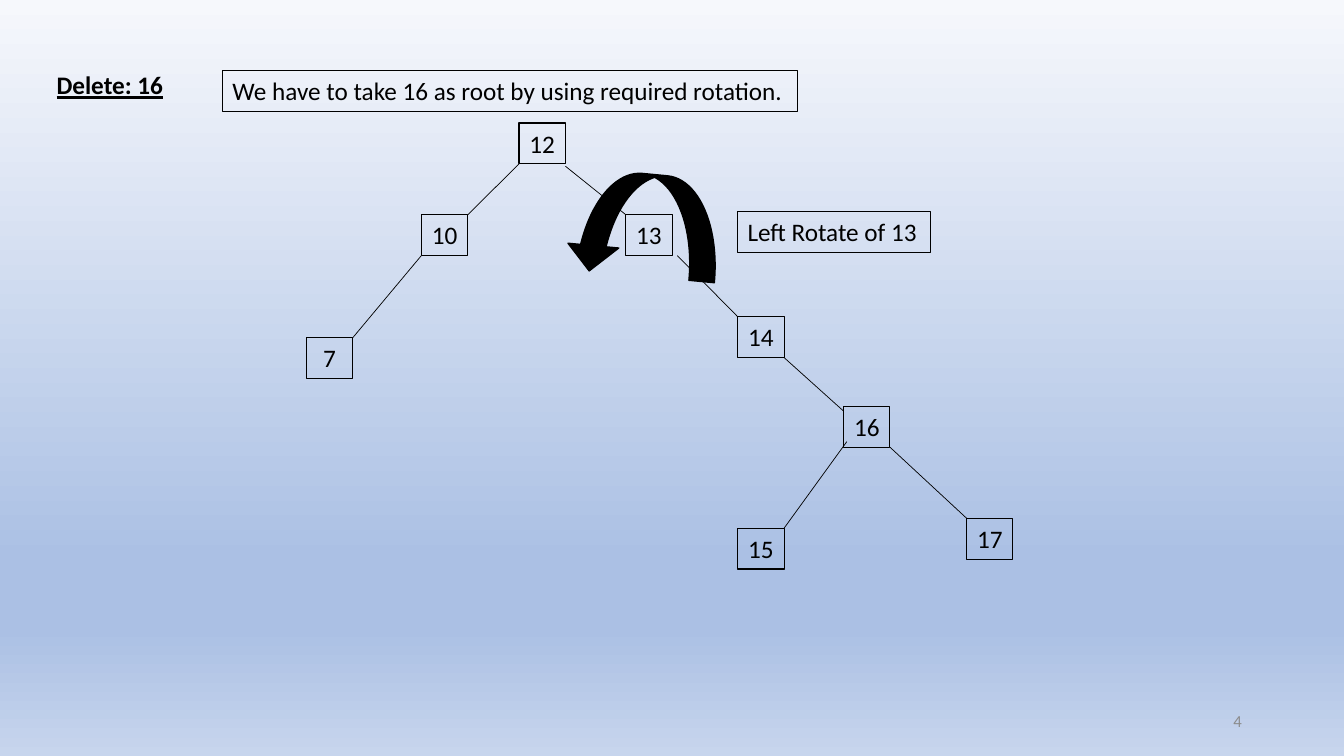
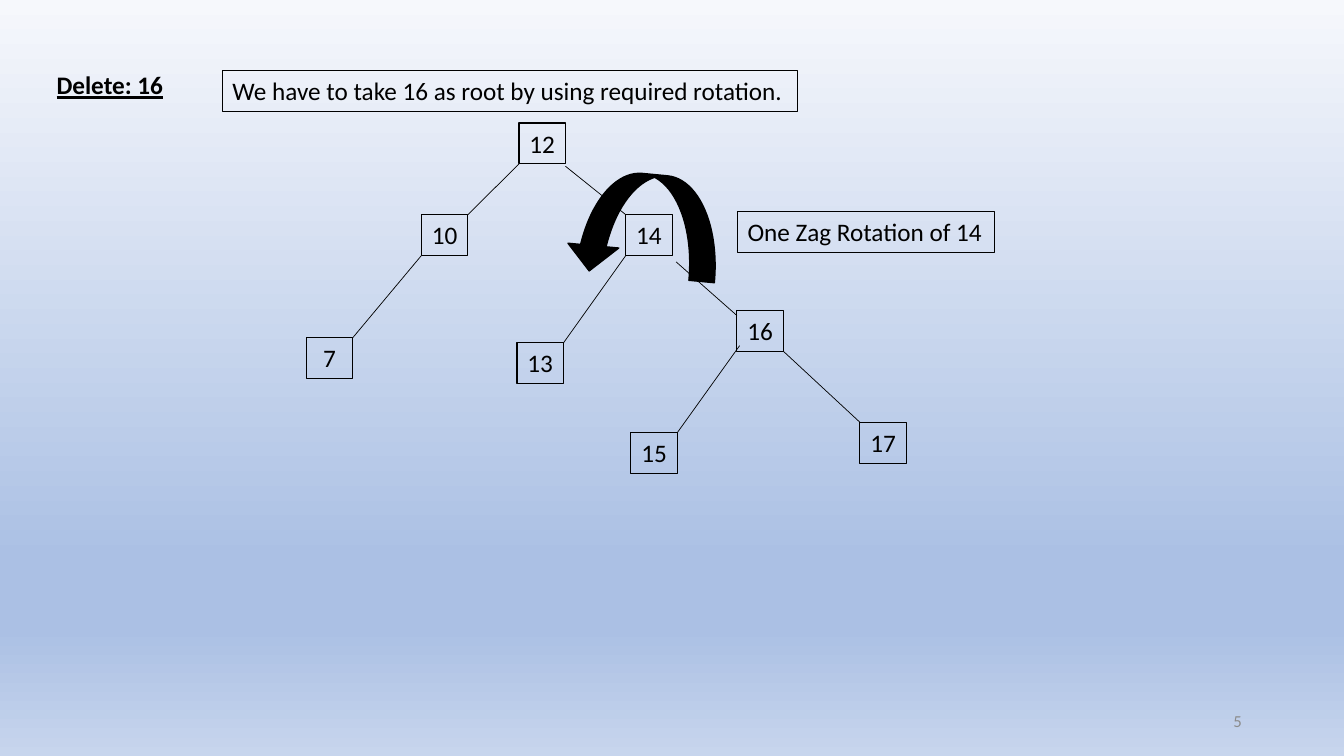
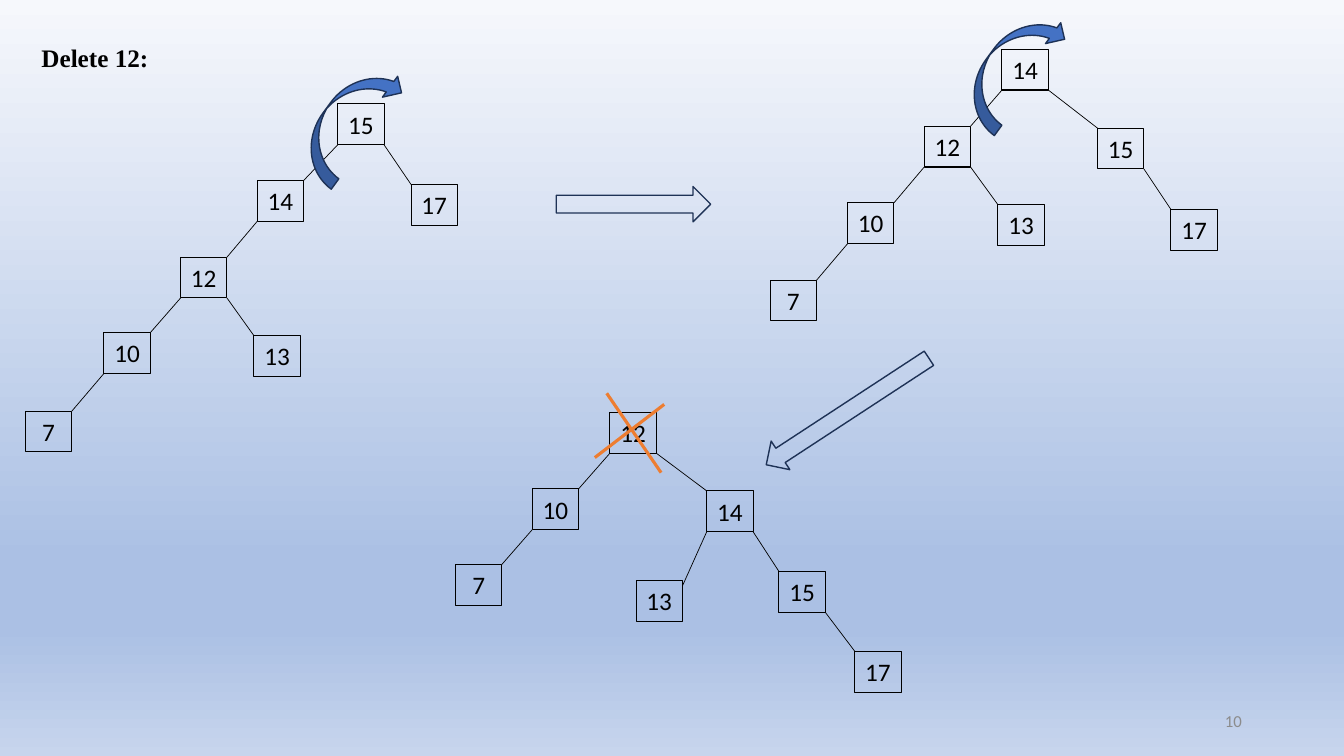
from lxml.etree import SubElement
from pptx import Presentation
from pptx.dml.color import RGBColor
from pptx.enum.shapes import MSO_CONNECTOR, MSO_SHAPE
from pptx.enum.text import MSO_ANCHOR, MSO_AUTO_SIZE, PP_ALIGN
from pptx.oxml.ns import qn
from pptx.util import Cm, Pt

rgb = RGBColor.from_string
BLACK, GREY, BLUE, NAVY, ORANGE = "000000", "8C8C8C", "4472C4", "1E3256", "ED7D31"
BACKGROUND = [(0, "F6F8FC"), (74, "ABC0E4"), (83, "ABC0E4"), (100, "C7D5ED")]
NODE_W, NODE_H = 1.17, 1.03
NOTE = ("We have to take 16 as root by using required rotation.", 5.61, 1.78, 14.5)

# Arrow: preset, left, top, width, height, rotation, fill, line
LEFT_TURN = (MSO_SHAPE.CURVED_RIGHT_ARROW, 14.94, 3.76, 2.57, 3.81, 95.4, BLACK, BLACK)

# Tree: node positions, then edges (parent, child, start nudge, end nudge).
# A child to the left hangs from its parent's lower left corner, else lower right.
O = (0, 0)
SLIDES = [
    {
        "title": ("Delete: 16", 1.17, 1.63), "font": "Calibri", "underline": True,
        "number": "4",
        "trees": [(
            {"12": (13.08, 3.1), "10": (10.62, 5.41), "13": (15.77, 5.41),
             "7": (7.72, 8.51), "14": (18.59, 7.98), "16": (21.26, 10.24),
             "15": (18.59, 13.31), "17": (24.36, 13.06)},
            [("12", "10", O, O), ("10", "7", O, O), ("12", "13", (0, 0.06), O),
             ("13", "14", (0.13, 0), O), ("14", "16", O, (0, 0.12)),
             ("16", "17", O, O), ("16", "15", (0.08, -0.14), O)],
        )],
        "arrows": [LEFT_TURN],
        "labels": [NOTE, ("Left Rotate of 13", 18.59, 5.33, 4.85)],
        "strikes": [],
    },
    {
        "title": ("Delete: 16", 1.17, 1.63), "font": "Calibri", "underline": True,
        "number": "5",
        "trees": [(
            {"12": (13.08, 3.1), "10": (10.62, 5.41), "14": (15.77, 5.41),
             "7": (7.72, 8.51), "16": (18.57, 7.82), "15": (15.9, 10.9),
             "17": (21.67, 10.64), "13": (13.03, 8.64)},
            [("12", "10", O, O), ("10", "7", O, O), ("12", "14", (0, 0.06), O),
             ("14", "16", (0.1, 0.16), (0, 0.13)), ("16", "17", O, O),
             ("16", "15", (0.07, -0.14), O), ("14", "13", O, O)],
        )],
        "arrows": [LEFT_TURN],
        "labels": [NOTE, ("One Zag Rotation of 14", 18.59, 5.33, 6.48)],
        "strikes": [],
    },
    {
        "title": ("Delete 12:", 0.79, 0.94), "font": "Times New Roman",
        "underline": False, "number": "10",
        "trees": [
            ({"15": (8.51, 2.62), "14": (6.48, 4.55), "13": (6.4, 8.46),
              "12": (4.55, 6.48), "10": (2.62, 8.38), "7": (0.64, 10.36),
              "17": (10.36, 4.65)},
             [("15", "14", O, O), ("15", "17", O, O), ("14", "12", O, O),
              ("12", "10", O, O), ("12", "13", O, O), ("10", "7", O, O)]),
            ({"14": (25.25, 1.24), "12": (23.29, 3.18), "15": (27.66, 3.23),
              "10": (21.36, 5.11), "13": (25.15, 5.16), "7": (19.41, 7.06),
              "17": (29.51, 5.28)},
             [("14", "12", O, O), ("14", "15", O, O), ("12", "10", O, O),
              ("12", "13", O, O), ("10", "7", O, O), ("15", "17", O, O)]),
            ({"12": (15.37, 10.39), "14": (17.81, 12.37), "10": (13.41, 12.32),
              "7": (11.48, 14.22), "13": (16.03, 14.63), "15": (19.63, 14.4),
              "17": (21.54, 16.41)},
             [("12", "10", O, O), ("12", "14", O, O), ("10", "7", O, O),
              ("14", "13", O, (0, 0.13)), ("14", "15", O, O), ("15", "17", O, O)]),
        ],
        "arrows": [
            (MSO_SHAPE.CURVED_DOWN_ARROW, 7.14, 2.39, 3.33, 1.3, 306.1, BLUE, NAVY),
            (MSO_SHAPE.CURVED_DOWN_ARROW, 23.85, 1.04, 3.33, 1.3, 306.1, BLUE, NAVY),
            (MSO_SHAPE.RIGHT_ARROW, 14.02, 4.7, 3.89, 0.89, 0, None, NAVY),
            (MSO_SHAPE.DOWN_ARROW, 20.93, 7.92, 0.86, 4.9, 56.8, None, NAVY),
        ],
        "labels": [],
        "strikes": [(16.74, 10.19, 14.99, 11.53), (15.29, 9.91, 16.66, 11.91)],
    },
]


def write(sp, text, size=18, color=BLACK, font="Calibri", bold=False, underline=False,
          align=PP_ALIGN.LEFT, anchor=MSO_ANCHOR.TOP, wrap=False, border=False):
    tf = sp.text_frame
    tf.auto_size = MSO_AUTO_SIZE.NONE
    tf.word_wrap = wrap
    tf.vertical_anchor = anchor
    p = tf.paragraphs[0]
    p.alignment = align
    r = p.add_run()
    r.text = text
    r.font.size, r.font.name = Pt(size), font
    r.font.bold, r.font.underline = bold, underline
    r.font.color.rgb = rgb(color)
    if border:
        sp.line.color.rgb = rgb(BLACK)
        sp.line.width = Pt(0.75)


prs = Presentation()
prs.slide_width, prs.slide_height = Cm(33.87), Cm(19.05)

fill = prs.slide_master.background.fill
fill.gradient()
fill.gradient_angle = 270
stops = prs.slide_master.element.find(".//" + qn("a:gsLst"))
for stop in list(stops):
    stops.remove(stop)
for percent, color in BACKGROUND:
    stop = SubElement(stops, qn("a:gs"), pos=str(percent * 1000))
    SubElement(stop, qn("a:srgbClr"), val=color)

for content in SLIDES:
    s = prs.slides.add_slide(prs.slide_layouts[5])
    text, x, y = content["title"]
    title = s.shapes.title
    title.left, title.top, title.width, title.height = Cm(x), Cm(y), Cm(3.23), Cm(1.03)
    write(title, text, font=content["font"], bold=True, underline=content["underline"])

    lines = []
    for nodes, edges in content["trees"]:
        for key, (x, y) in nodes.items():
            sp = s.shapes.add_textbox(Cm(x), Cm(y), Cm(NODE_W), Cm(NODE_H))
            write(sp, key, align=PP_ALIGN.CENTER, border=True)
        for parent, child, (dx1, dy1), (dx2, dy2) in edges:
            (x1, y1), (x2, y2) = nodes[parent], nodes[child]
            if x2 < x1:
                x2 += NODE_W
            else:
                x1 += NODE_W
            ends = (x1 + dx1, y1 + NODE_H + dy1, x2 + dx2, y2 + dy2)
            lines.append((ends, BLACK, 0.5))
    lines += [(ends, ORANGE, 2.25) for ends in content["strikes"]]

    for ends, color, width in lines:
        line = s.shapes.add_connector(MSO_CONNECTOR.STRAIGHT, *[Cm(v) for v in ends])
        line.line.color.rgb = rgb(color)
        line.line.width = Pt(width)
        SubElement(line._element.spPr, qn("a:effectLst"))

    for preset, x, y, w, h, rotation, color, outline in content["arrows"]:
        arrow = s.shapes.add_shape(preset, Cm(x), Cm(y), Cm(w), Cm(h))
        arrow.rotation = rotation
        arrow.shadow.inherit = False
        if color:
            arrow.fill.solid()
            arrow.fill.fore_color.rgb = rgb(color)
        else:
            arrow.fill.background()
        arrow.line.color.rgb = rgb(outline)
        arrow.line.width = Pt(1)

    for text, x, y, w in content["labels"]:
        sp = s.shapes.add_textbox(Cm(x), Cm(y), Cm(w), Cm(NODE_H))
        write(sp, text, border=True)

    number = s.shapes.add_textbox(Cm(23.93), Cm(17.65), Cm(7.62), Cm(1.02))
    write(number, content["number"], size=12, color=GREY, align=PP_ALIGN.RIGHT,
          anchor=MSO_ANCHOR.MIDDLE, wrap=True)

prs.save("out.pptx")
